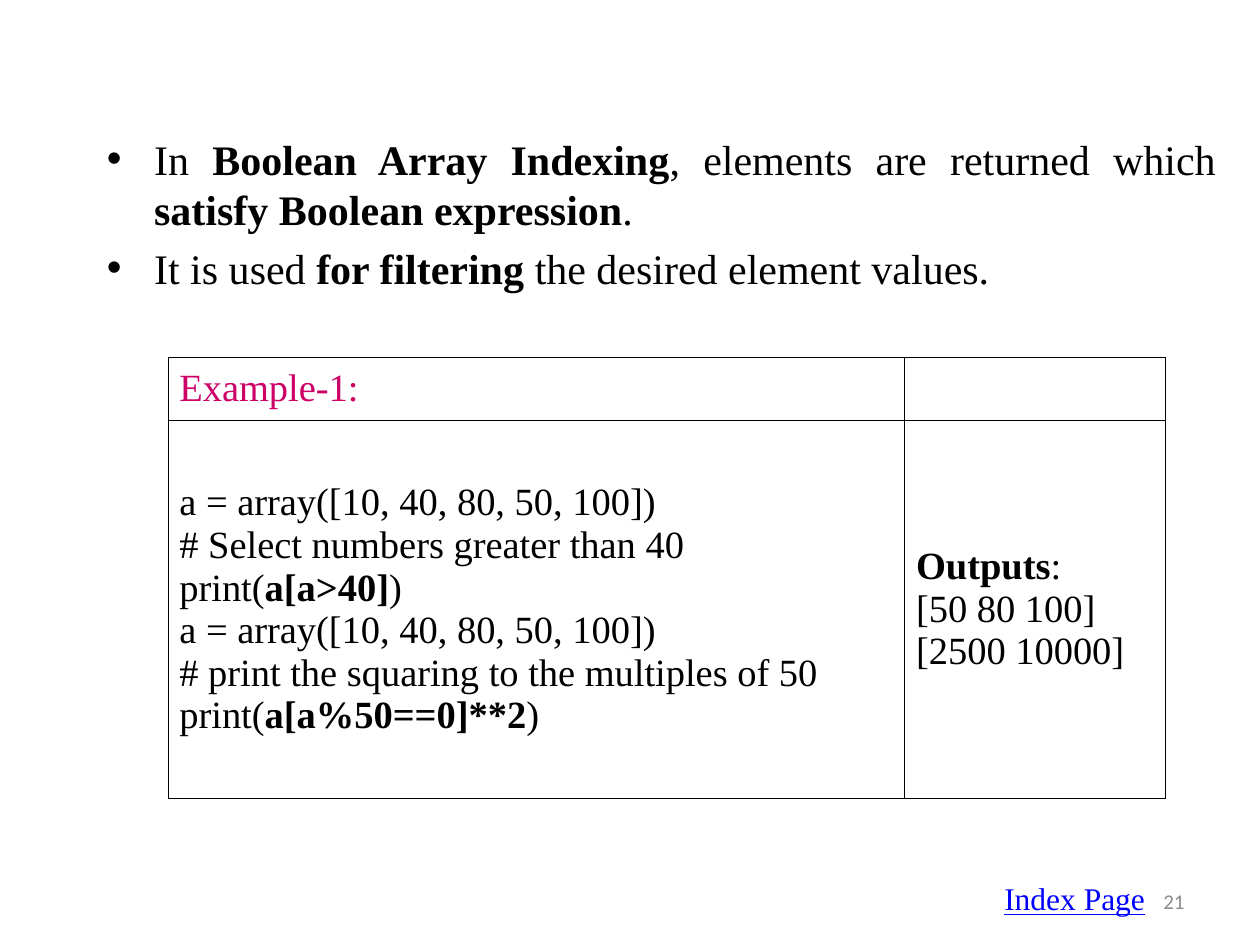
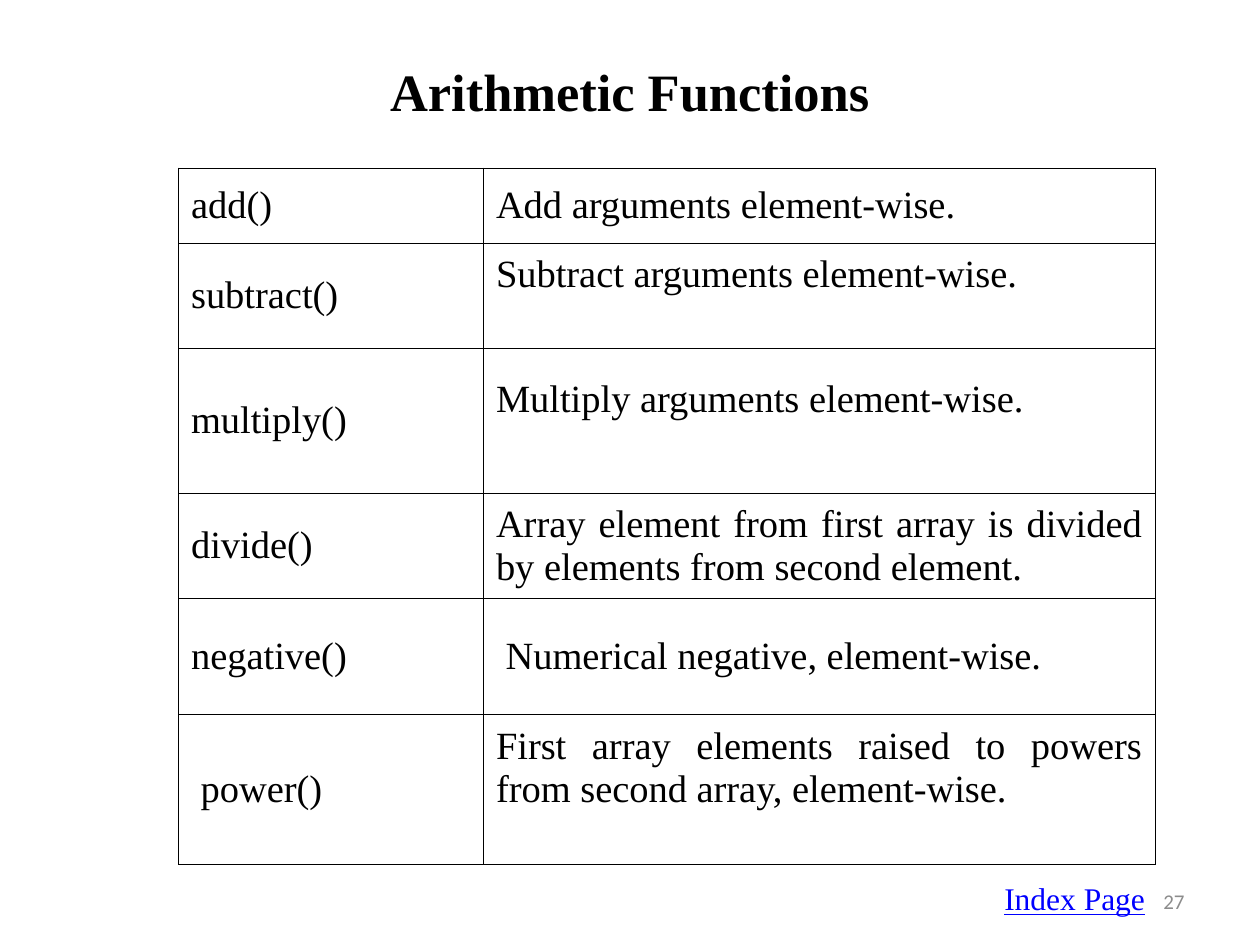
from lxml.etree import SubElement
from pptx import Presentation
from pptx.dml.color import RGBColor
from pptx.enum.text import MSO_ANCHOR, PP_ALIGN
from pptx.oxml.ns import qn
from pptx.util import Pt

INK = {"text": "000000", "head": "CC0066", "link": "0000FF", "page": "8C8C8C"}
SERIF = "Times New Roman"
SANS = "Calibri"


def write(para, text, size, ink="text", font=SERIF, align=PP_ALIGN.LEFT):
    para.alignment = align
    for place, part in enumerate(text.split("|")):
        if part:
            run = para.add_run()
            run.text = part
            run.font.size = Pt(size)
            run.font.name = font
            run.font.bold = place % 2 == 1
            run.font.color.rgb = RGBColor.from_string(INK[ink])


def fill_lines(frame, lines, size, **style):
    for place, line in enumerate(lines):
        para = frame.add_paragraph() if place else frame.paragraphs[0]
        write(para, line, size, **style)


def add_text(slide, area, lines, size, wrap=False, **style):
    box = slide.shapes.add_textbox(*map(Pt, area))
    frame = box.text_frame
    frame.word_wrap = wrap
    fill_lines(frame, lines, size, **style)
    return frame


def add_title(slide, text):
    add_text(slide, (214, 30, 292, 44), [f"|{text}|"], 30, align=PP_ALIGN.CENTER)


def add_bullets(slide, area, lines):
    frame = add_text(slide, area, lines, 24, wrap=True, align=PP_ALIGN.JUSTIFY)
    for place, para in enumerate(frame.paragraphs):
        props = para._p.get_or_add_pPr()
        props.set("marL", str(Pt(27)))
        props.set("indent", str(-Pt(27)))
        SubElement(props, qn("a:buFont")).set("typeface", "Arial")
        SubElement(props, qn("a:buChar")).set("char", "•")
        if place:
            para.space_before = Pt(4.8)


def add_foot(slide, page):
    frame = add_text(slide, (516, 500.5, 168, 28.75), [page], 12, wrap=True,
                     ink="page", font=SANS, align=PP_ALIGN.RIGHT)
    frame.vertical_anchor = MSO_ANCHOR.MIDDLE
    frame = add_text(slide, (566.8, 499, 96, 29), ["Index Page"], 18, ink="link",
                     align=PP_ALIGN.JUSTIFY)
    frame.paragraphs[0].runs[0].font.underline = True


def frame_cell(cell):
    props = cell._tc.get_or_add_tcPr()
    for side in ("lnL", "lnR", "lnT", "lnB"):
        line = SubElement(props, qn(f"a:{side}"))
        line.set("w", str(Pt(0.5)))
        paint = SubElement(line, qn("a:solidFill"))
        SubElement(paint, qn("a:srgbClr")).set("val", INK["text"])
    cell.fill.background()
    cell.vertical_anchor = MSO_ANCHOR.MIDDLE


def add_grid(slide, left, top, widths, heights):
    area = (left, top, sum(widths), sum(heights))
    grid = slide.shapes.add_table(len(heights), len(widths), *map(Pt, area)).table
    grid.first_row = grid.horz_banding = False
    for column, width in zip(grid.columns, widths):
        column.width = Pt(width)
    for row, height in zip(grid.rows, heights):
        row.height = Pt(height)
    for cell in grid.iter_cells():
        frame_cell(cell)
    return grid


def draw_index(slide):
    add_foot(slide, "21")
    add_bullets(slide, (54, 72.5, 648, 443.5), [
        "In |Boolean Array Indexing|, elements are returned which "
        "|satisfy Boolean expression|.",
        "It is used |for filtering| the desired element values.",
    ])
    grid = add_grid(slide, 96, 204, (421, 149), (36.5, 215.5))
    for cell in grid.iter_cells():
        cell.margin_left = cell.margin_right = Pt(6.5)
        cell.margin_top = cell.margin_bottom = Pt(3)
    fill_lines(grid.cell(0, 0).text_frame, ["Example-1:"], 22, ink="head")
    fill_lines(grid.cell(1, 0).text_frame, [
        "a = array([10, 40, 80, 50, 100])",
        "# Select numbers greater than 40 print(|a[a>40]|)",
        "a = array([10, 40, 80, 50, 100])",
        "# print the squaring to the multiples of 50",
        "print(|a[a%50==0]**2|)",
    ], 22)
    fill_lines(grid.cell(1, 1).text_frame,
               ["|Outputs|:", "[50 80 100]", "[2500 10000]"], 22)


def draw_maths(slide):
    add_foot(slide, "27")
    add_title(slide, "Arithmetic Functions")
    rows = [
        ("add()", "Add arguments element-wise.", 43),
        ("subtract()", "Subtract arguments element-wise.", 60),
        ("multiply()", "Multiply arguments element-wise.", 83),
        ("divide()", "Array element from first array is divided by elements "
         "from second element.", 60),
        ("negative()", "Numerical negative, element-wise.", 66),
        ("power()", "First array elements raised to powers from second array, "
         "element-wise.", 86),
    ]
    grid = add_grid(slide, 102, 96, (174.25, 383.75), [row[2] for row in rows])
    for place, (name, note, _) in enumerate(rows):
        fill_lines(grid.cell(place, 0).text_frame, [name], 22)
        fill_lines(grid.cell(place, 1).text_frame, [note], 22,
                   align=PP_ALIGN.JUSTIFY)
    for place in (1, 2, 5):
        grid.cell(place, 1).margin_bottom = Pt(28)
    for spot in ((4, 1), (5, 0)):
        grid.cell(*spot).margin_left = Pt(12.7)


def main():
    deck = Presentation()
    deck.slide_width, deck.slide_height = Pt(720), Pt(540)
    for draw in (draw_index, draw_maths):
        draw(deck.slides.add_slide(deck.slide_layouts[6]))
    deck.save("out.pptx")


if __name__ == "__main__":
    main()
